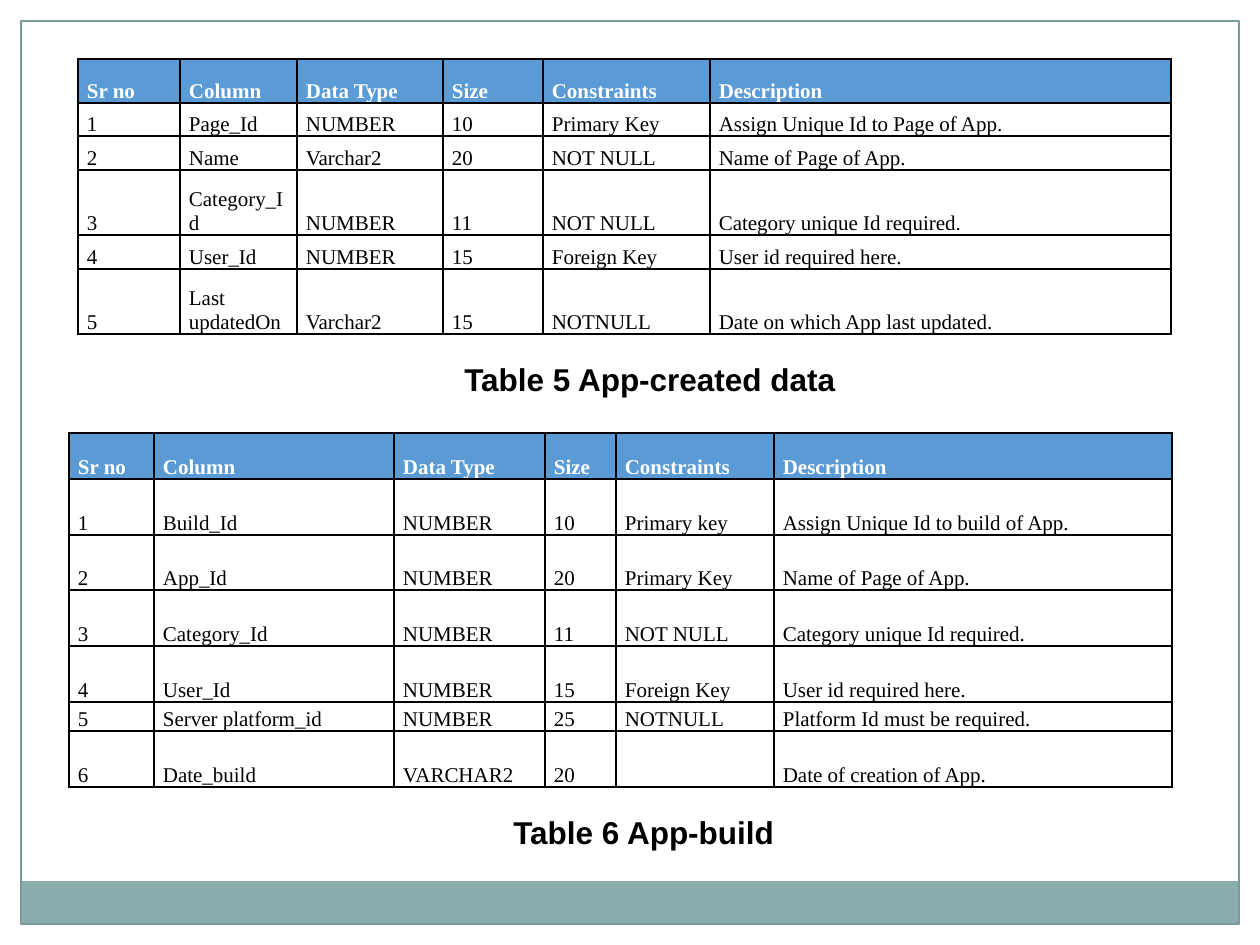
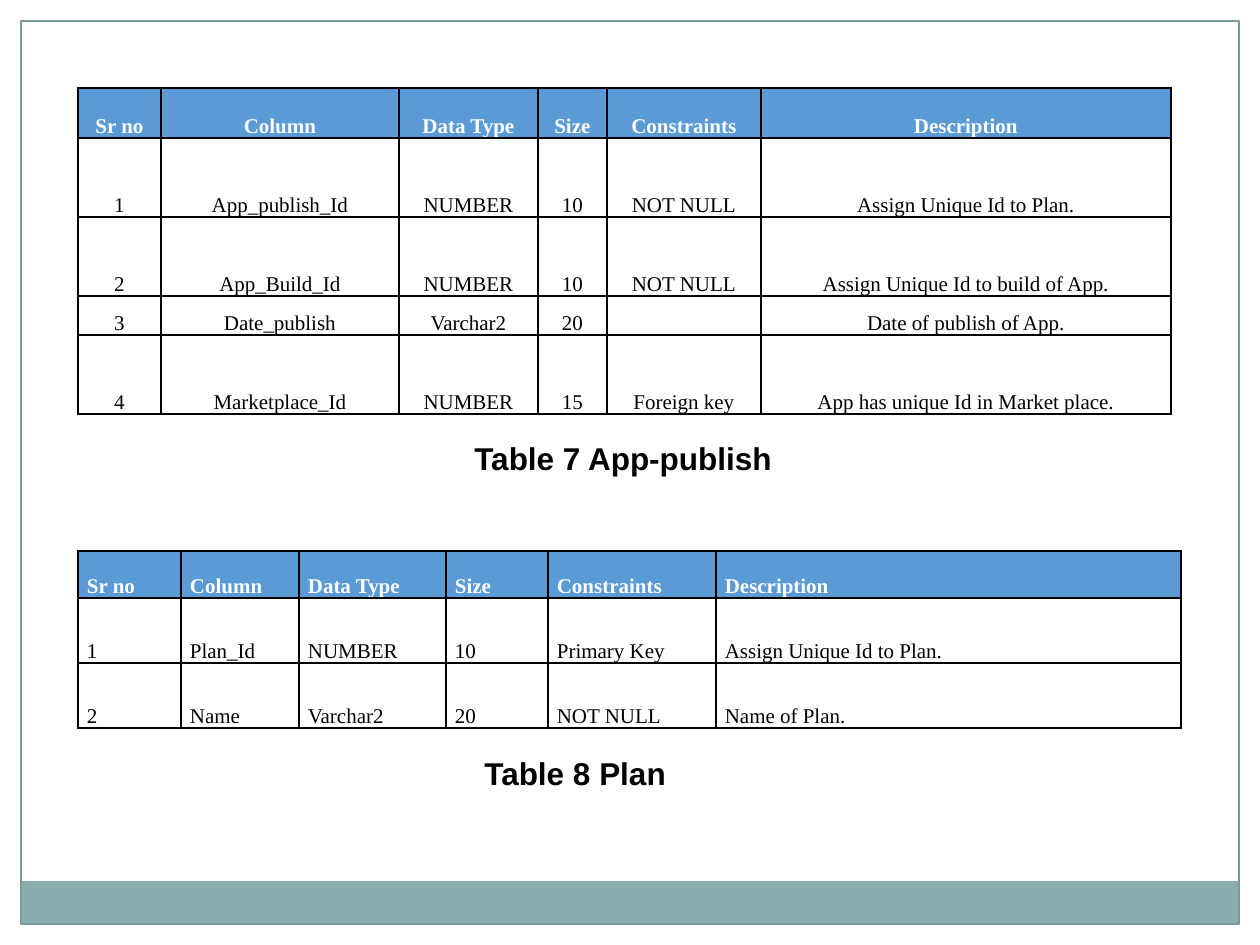
import lxml.etree
import pptx
import pptx.dml.color
import pptx.enum.shapes
import pptx.enum.text
import pptx.oxml.ns
import pptx.util

PX_PER_INCH = 126
PAGE_SIZE = (1260, 945)
FRAME = (21, 21, 1218, 903)
FOOTER_BAND = (21, 881, 1217, 43)
CELL_SIDE_INSET = 9
CAPTION_HEIGHT = 50

BLACK, WHITE = "000000", "FFFFFF"
HEADER_BLUE = "5B9BD5"
BAND_TEAL = "8CADAE"
FRAME_GREY = "7C999A"
TABLE_FONT, CAPTION_FONT = "Times New Roman", "Arial"
TABLE_SIZE, CAPTION_SIZE = 12, 18

HEADER = ("Sr no", "Column", "Data Type", "Size", "Constraints", "Description")

# Row numbers in the "Sr no" column are counted, so records start at "Column".
PAGES = [
    [
        dict(
            origin=(78, 59),
            widths=(102, 117, 146, 100, 167, 461),
            heights=(44, 33, 34, 65, 34, 65),
            records=[
                ("Page_Id", "NUMBER", "10", "Primary Key", "Assign Unique Id to Page of App."),
                ("Name", "Varchar2", "20", "NOT NULL", "Name of Page of App."),
                ("Category_Id", "NUMBER", "11", "NOT NULL", "Category unique Id required."),
                ("User_Id", "NUMBER", "15", "Foreign Key", "User id required here."),
                ("Last updatedOn", "Varchar2", "15", "NOTNULL", "Date on which App last updated."),
            ],
            caption=("Table 5 App-created data", 452, 354, 401),
        ),
        dict(
            origin=(69, 433),
            widths=(85, 240, 151, 71, 158, 398),
            heights=(46, 56, 55, 56, 56, 29, 56),
            records=[
                ("Build_Id", "NUMBER", "10", "Primary key", "Assign Unique Id to build of App."),
                ("App_Id", "NUMBER", "20", "Primary Key", "Name of Page of App."),
                ("Category_Id", "NUMBER", "11", "NOT NULL", "Category unique Id required."),
                ("User_Id", "NUMBER", "15", "Foreign Key", "User id required here."),
                ("Server platform_id", "NUMBER", "25", "NOTNULL", "Platform Id must be required."),
                ("Date_build", "VARCHAR2", "20", "", "Date of creation of App."),
            ],
            caption=("Table 6 App-build", 501, 807, 289),
        ),
    ],
    [
        dict(
            origin=(78, 88),
            widths=(83, 238, 139, 69, 154, 410),
            heights=(50, 79, 79, 39, 79),
            centred=True,
            records=[
                ("App_publish_Id", "NUMBER", "10", "NOT NULL", "Assign Unique Id to Plan."),
                ("App_Build_Id", "NUMBER", "10", "NOT NULL", "Assign Unique Id to build of App."),
                ("Date_publish", "Varchar2", "20", "", "Date of publish of App."),
                ("Marketplace_Id", "NUMBER", "15", "Foreign key",
                 "App has unique Id in Market place."),
            ],
            caption=("Table 7 App-publish", 462, 433, 335),
        ),
        dict(
            origin=(78, 551),
            widths=(103, 118, 147, 102, 168, 465),
            heights=(47, 65, 65),
            records=[
                ("Plan_Id", "NUMBER", "10", "Primary Key", "Assign Unique Id to Plan."),
                ("Name", "Varchar2", "20", "NOT NULL", "Name of Plan."),
            ],
            caption=("Table 8 Plan", 472, 748, 209),
        ),
    ],
]


def px(length):
    return pptx.util.Inches(length / PX_PER_INCH)


def colour(value):
    return pptx.dml.color.RGBColor.from_string(value)


def add_span(para, text, font, size, hue, bold):
    span = para.add_run()
    span.text = text
    span.font.name = font
    span.font.size = pptx.util.Pt(size)
    span.font.color.rgb = colour(hue)
    span.font.bold = bold


def add_rectangle(page, bounds, fill=None, line=None):
    kind = pptx.enum.shapes.MSO_SHAPE.RECTANGLE
    shape = page.shapes.add_shape(kind, *map(px, bounds))
    shape.shadow.inherit = False
    if fill:
        shape.fill.solid()
        shape.fill.fore_color.rgb = colour(fill)
    else:
        shape.fill.background()
    if line:
        shape.line.color.rgb = colour(line)
        shape.line.width = pptx.util.Pt(0.75)
    else:
        shape.line.fill.background()


def add_page(deck):
    """Add a blank page with the shared frame and footer band."""
    page = deck.slides.add_slide(deck.slide_layouts[6])
    add_rectangle(page, FOOTER_BAND, fill=BAND_TEAL)
    add_rectangle(page, FRAME, line=FRAME_GREY)
    return page


def add_cell_borders(cell):
    properties = cell._tc.get_or_add_tcPr()
    for side in ("a:lnL", "a:lnR", "a:lnT", "a:lnB"):
        border = lxml.etree.SubElement(properties, pptx.oxml.ns.qn(side), w="12700")
        fill = lxml.etree.SubElement(border, pptx.oxml.ns.qn("a:solidFill"))
        lxml.etree.SubElement(fill, pptx.oxml.ns.qn("a:srgbClr"), val=BLACK)


def fill_cell(cell, text, is_header, centred):
    add_cell_borders(cell)
    cell.margin_left = cell.margin_right = px(CELL_SIDE_INSET)
    cell.margin_top = cell.margin_bottom = 0
    cell.vertical_anchor = pptx.enum.text.MSO_ANCHOR.BOTTOM
    if is_header:
        cell.fill.solid()
        cell.fill.fore_color.rgb = colour(HEADER_BLUE)
    else:
        cell.fill.background()
    para = cell.text_frame.paragraphs[0]
    if centred:
        para.alignment = pptx.enum.text.PP_ALIGN.CENTER
    if text:
        add_span(para, text, TABLE_FONT, TABLE_SIZE, WHITE if is_header else BLACK, is_header)
    else:
        # Keeps an empty cell from stretching its row with the default size.
        lxml.etree.SubElement(para._p, pptx.oxml.ns.qn("a:endParaRPr"), sz=str(TABLE_SIZE * 100))


def add_data_table(page, origin, widths, heights, records, centred=False):
    rows = [HEADER] + [(str(n), *record) for n, record in enumerate(records, 1)]
    bounds = (*origin, sum(widths), sum(heights))
    table = page.shapes.add_table(len(rows), len(HEADER), *map(px, bounds)).table
    table.first_row = table.horz_banding = False
    for column, width in zip(table.columns, widths):
        column.width = px(width)
    for r, (texts, height) in enumerate(zip(rows, heights)):
        table.rows[r].height = px(height)
        for c, text in enumerate(texts):
            fill_cell(table.cell(r, c), text, r == 0, centred)


def add_caption(page, text, left, top, width):
    box = page.shapes.add_textbox(*map(px, (left, top, width, CAPTION_HEIGHT)))
    box.text_frame.word_wrap = False
    box.text_frame.auto_size = pptx.enum.text.MSO_AUTO_SIZE.SHAPE_TO_FIT_TEXT
    add_span(box.text_frame.paragraphs[0], text, CAPTION_FONT, CAPTION_SIZE, BLACK, True)


def main():
    deck = pptx.Presentation()
    deck.slide_width, deck.slide_height = map(px, PAGE_SIZE)
    for tables in PAGES:
        page = add_page(deck)
        for entry in tables:
            layout = {key: value for key, value in entry.items() if key != "caption"}
            add_data_table(page, **layout)
            add_caption(page, *entry["caption"])
    deck.save("out.pptx")


if __name__ == "__main__":
    main()
